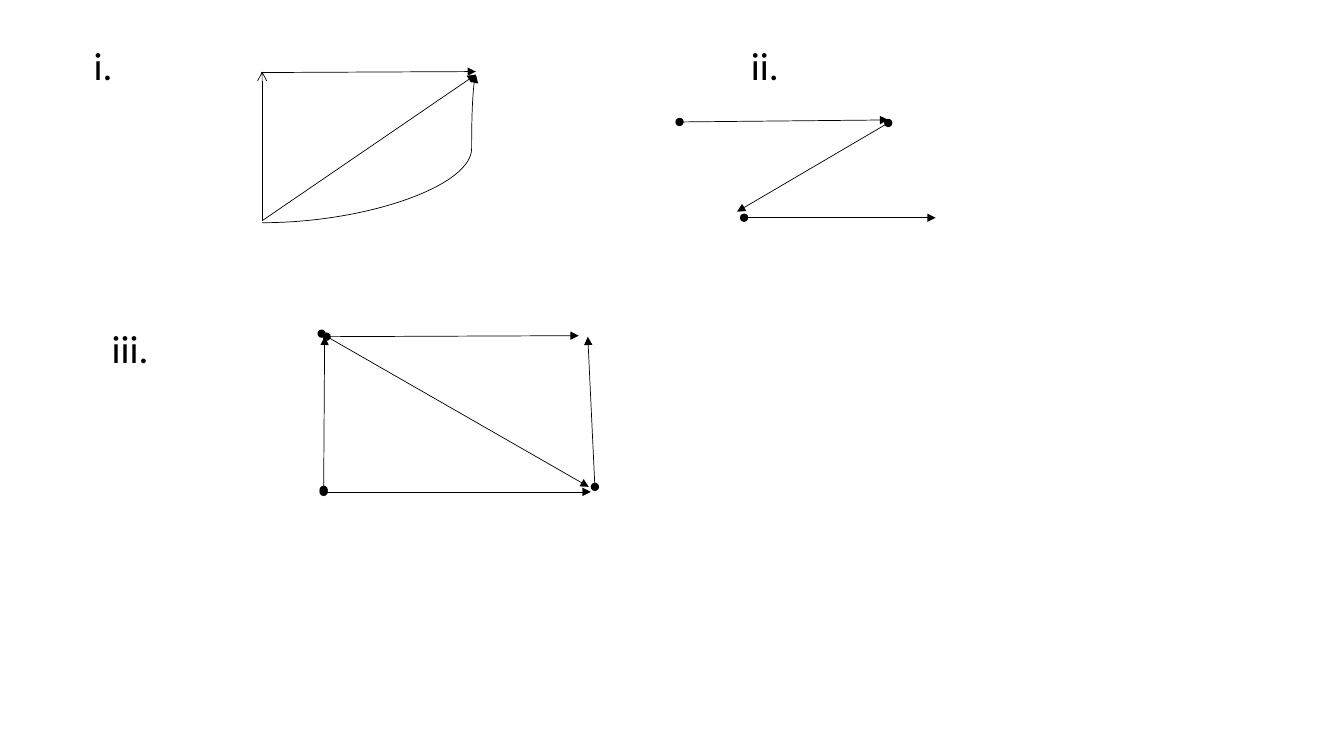
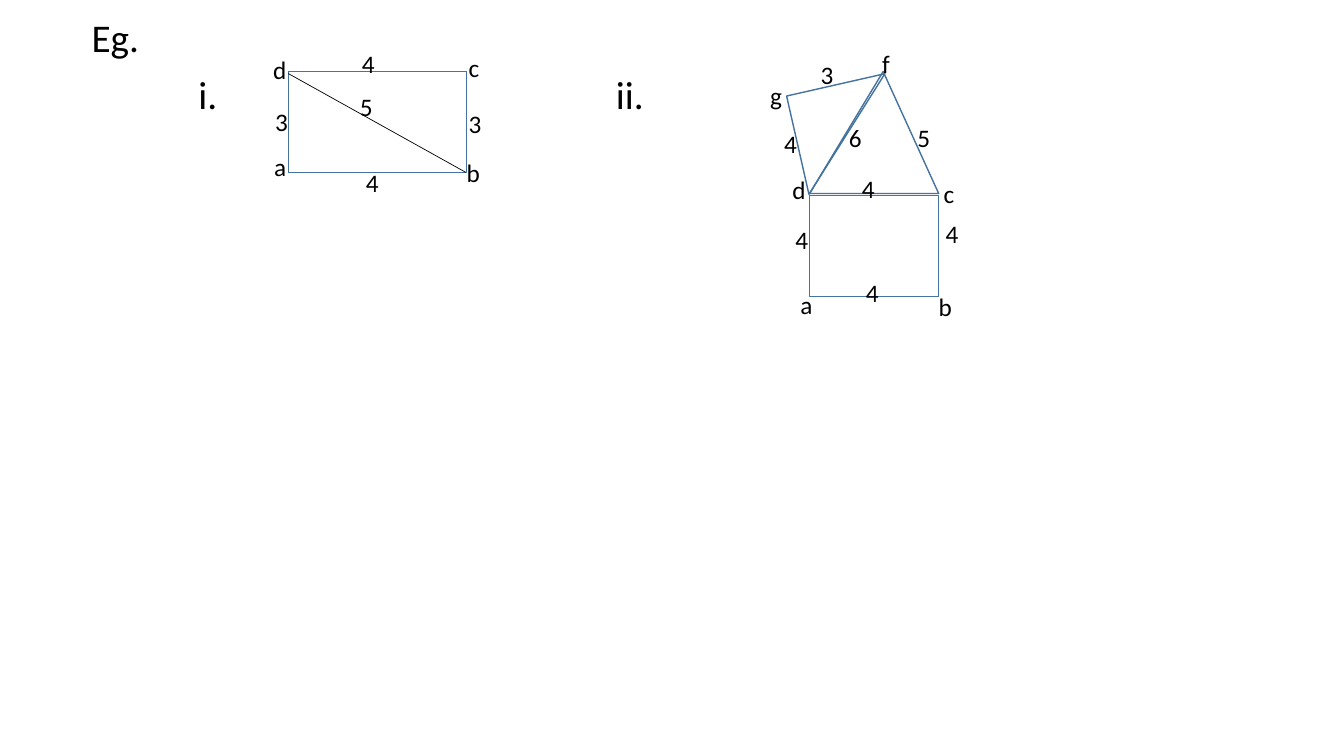
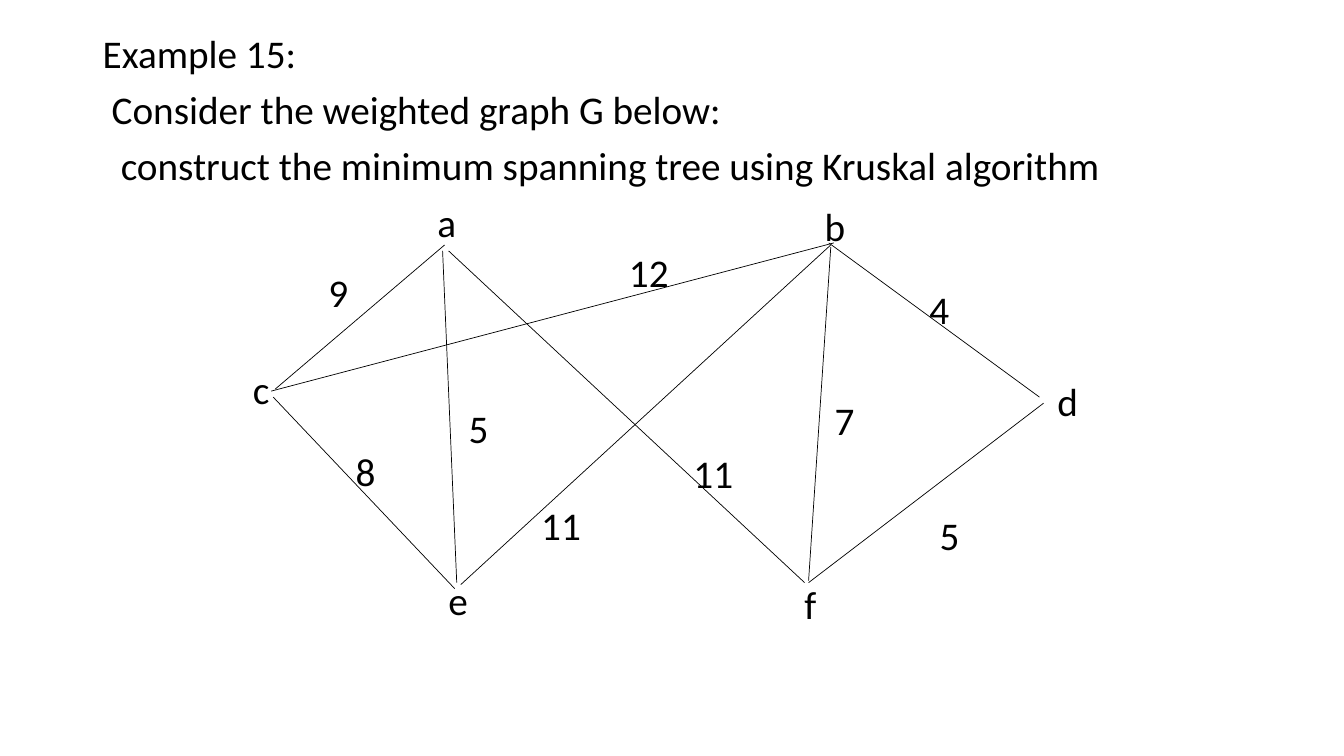
from lxml import etree
from pptx import Presentation
from pptx.dml.color import RGBColor
from pptx.enum.shapes import MSO_CONNECTOR, MSO_SHAPE
from pptx.enum.text import MSO_AUTO_SIZE
from pptx.oxml.ns import qn
from pptx.util import Inches, Pt

BLACK = RGBColor(0x00, 0x00, 0x00)
STEEL_BLUE = RGBColor(0x43, 0x73, 0x9E)
WHITE = RGBColor(0xFF, 0xFF, 0xFF)
FONT = "Calibri"
HEADING_SIZE = 28
LABEL_SIZE = 18

STRAIGHT, CURVE = MSO_CONNECTOR.STRAIGHT, MSO_CONNECTOR.CURVE
RECTANGLE = MSO_SHAPE.RECTANGLE
TRIANGLE = MSO_SHAPE.ISOSCELES_TRIANGLE
RIGHT_TRIANGLE = MSO_SHAPE.RIGHT_TRIANGLE
NO_AUTOFIT, GROW = MSO_AUTO_SIZE.NONE, MSO_AUTO_SIZE.SHAPE_TO_FIT_TEXT

# Character widths and line height in units of the text size
DIGIT_WIDTH = 0.51
LETTER_WIDTHS = {"a": 0.48, "b": 0.53, "c": 0.42, "d": 0.53,
                 "e": 0.5, "f": 0.31, "g": 0.47}
LINE_HEIGHT = 1.22


class Deck:
    def __init__(self):
        self.presentation = Presentation()
        self.presentation.slide_width = Inches(13.33)
        self.presentation.slide_height = Inches(7.5)
        self.slide = None

    def new_slide(self):
        layout = self.presentation.slide_layouts[6]
        self.slide = self.presentation.slides.add_slide(layout)
        self.slide.background.fill.solid()
        self.slide.background.fill.fore_color.rgb = WHITE

    def text_box(self, lines, left, top, width, height, size):
        box = self.slide.shapes.add_textbox(
            Inches(left), Inches(top), Inches(width), Inches(height))
        box.text_frame.text = "\n".join(lines)
        for paragraph in box.text_frame.paragraphs:
            for run in paragraph.runs:
                run.font.name = FONT
                run.font.size = Pt(size)
                run.font.color.rgb = BLACK
        return box.text_frame

    def heading(self, lines, left, top, width=1, height=0.55, step=0):
        """Large text; each further line is indented by step inches more."""
        frame = self.text_box(lines, left, top, width, height, HEADING_SIZE)
        frame.word_wrap = True
        frame.auto_size = NO_AUTOFIT
        for index, paragraph in enumerate(frame.paragraphs):
            paragraph.line_spacing = 0.9
            if index:
                paragraph.space_before = Pt(10)
                properties = paragraph._p.get_or_add_pPr()
                properties.set("marL", str(Inches(index * step)))

    def labels(self, items, size):
        """Draw (text, left, top) items in boxes as wide as their text."""
        for text, left, top in items:
            ems = sum(LETTER_WIDTHS.get(letter, DIGIT_WIDTH) for letter in text)
            frame = self.text_box([text], left, top, 0.2 + ems * size / 72,
                                  0.1 + LINE_HEIGHT * size / 72, size)
            frame.word_wrap = False
            frame.auto_size = GROW

    def line(self, start, end, head=None, tail=None, kind=STRAIGHT, bend=None):
        connector = self.slide.shapes.add_connector(
            kind, *(Inches(value) for value in (*start, *end)))
        connector.line.color.rgb = BLACK
        connector.line.width = Pt(0.5)
        properties = connector._element.spPr
        outline = properties.find(qn("a:ln"))
        for tag, arrowhead in (("a:headEnd", head), ("a:tailEnd", tail)):
            if arrowhead:
                etree.SubElement(outline, qn(tag), type=arrowhead)
        etree.SubElement(properties, qn("a:effectLst"))
        if bend is not None:
            geometry = properties.find(qn("a:prstGeom"))
            for old_list in geometry.findall(qn("a:avLst")):
                geometry.remove(old_list)
            values = etree.SubElement(geometry, qn("a:avLst"))
            etree.SubElement(values, qn("a:gd"), name="adj1",
                             fmla=f"val {round(bend * 100000)}")

    def outline(self, kind, left, top, width, height, rotation=0, apex=None):
        shape = self.slide.shapes.add_shape(
            kind, Inches(left), Inches(top), Inches(width), Inches(height))
        shape.shadow.inherit = False
        shape.fill.background()
        shape.line.color.rgb = STEEL_BLUE
        shape.line.width = Pt(1)
        shape.rotation = rotation
        if apex is not None:
            shape.adjustments[0] = apex


def directed_graphs(deck):
    deck.new_slide()
    for text, left, top in (("i.", 0.83, 0.41), ("ii.", 7.35, 0.41),
                            ("iii.", 1.01, 3.22)):
        deck.heading([text], left, top)

    deck.line((2.6, 0.71), (2.6, 2.19), head="arrow")
    deck.line((2.59, 0.72), (4.72, 0.71), tail="triangle")
    deck.line((2.6, 2.19), (4.72, 0.74), tail="triangle")
    deck.line((2.6, 2.21), (4.72, 0.74), tail="triangle", kind=CURVE, bend=0.98)

    zigzag = [((6.74, 1.21), (8.81, 1.19)), ((8.81, 1.22), (7.31, 2.1)),
              ((7.38, 2.16), (9.28, 2.16))]
    crossed_box = [((3.24, 3.34), (5.74, 3.33)), ((3.21, 4.86), (3.22, 3.34)),
                   ((3.21, 4.88), (5.86, 4.88)), ((3.19, 3.31), (5.84, 4.83)),
                   ((5.9, 4.83), (5.83, 3.34))]
    for start, end in zigzag + crossed_box:
        deck.line(start, end, head="oval", tail="triangle")


def weighted_examples(deck):
    deck.new_slide()
    for text, left, top in (("Eg.", 0.81, 0.14), ("i.", 1.87, 0.7),
                            ("ii.", 6.01, 0.7)):
        deck.heading([text], left, top)

    deck.outline(RECTANGLE, 2.86, 0.71, 1.77, 1)
    deck.line((2.86, 0.73), (4.62, 1.71))
    deck.labels([
        ("3", 2.63, 1.01), ("4", 3.49, 0.43), ("3", 4.55, 1.03),
        ("4", 3.53, 1.61), ("5", 3.47, 0.86), ("a", 2.62, 1.45),
        ("b", 4.53, 1.51), ("c", 4.55, 0.47), ("d", 2.61, 0.49),
    ], LABEL_SIZE)

    deck.outline(TRIANGLE, 8.03, 0.71, 1.28, 1.21, apex=0.57)
    deck.outline(RIGHT_TRIANGLE, 7.9, 0.83, 1, 1, rotation=77.2)
    deck.outline(RECTANGLE, 8.03, 1.94, 1.28, 1)
    deck.labels([
        ("4", 7.68, 1.22), ("4", 8.45, 1.67), ("4", 7.79, 2.18),
        ("3", 8.04, 0.54), ("5", 9, 1.16), ("6", 8.32, 1.16),
        ("4", 9.28, 2.12), ("4", 8.49, 2.7), ("a", 7.84, 2.82),
        ("b", 9.21, 2.84), ("c", 9.26, 1.72), ("f", 8.65, 0.43),
        ("g", 7.54, 0.75), ("d", 7.76, 1.68),
    ], LABEL_SIZE)


def spanning_tree_exercise(deck):
    deck.new_slide()
    deck.heading([
        "Example 15:",
        "Consider the weighted graph G below:",
        "construct the minimum spanning tree using Kruskal algorithm",
    ], 0.92, 0.29, 11.5, 1.7, step=0.09)

    edges = [
        ((2.69, 3.88), (8.27, 2.41)), ((2.71, 3.94), (4.51, 5.84)),
        ((4.57, 5.8), (8.24, 2.43)), ((2.73, 3.86), (4.41, 2.43)),
        ((4.45, 2.49), (7.98, 5.78)), ((8.24, 2.45), (8.02, 5.76)),
        ((8.22, 2.41), (10.31, 3.94)), ((10.35, 4), (8.02, 5.78)),
        ((4.39, 2.49), (4.53, 5.78)),
    ]
    for start, end in edges:
        deck.line(start, end)
    deck.labels([
        ("a", 4.24, 1.92), ("b", 8.08, 1.96), ("12", 6.14, 2.41),
        ("c", 2.41, 3.57), ("9", 3.16, 2.61), ("d", 10.39, 3.69),
        ("4", 9.12, 2.78), ("e", 4.35, 5.67), ("f", 7.88, 5.71),
        ("5", 9.22, 5.02), ("7", 8.18, 3.88), ("11", 5.27, 4.92),
        ("11", 6.78, 4.41), ("5", 4.55, 3.96), ("8", 3.43, 4.39),
    ], HEADING_SIZE)


def main():
    deck = Deck()
    directed_graphs(deck)
    weighted_examples(deck)
    spanning_tree_exercise(deck)
    deck.presentation.save("out.pptx")


if __name__ == "__main__":
    main()
